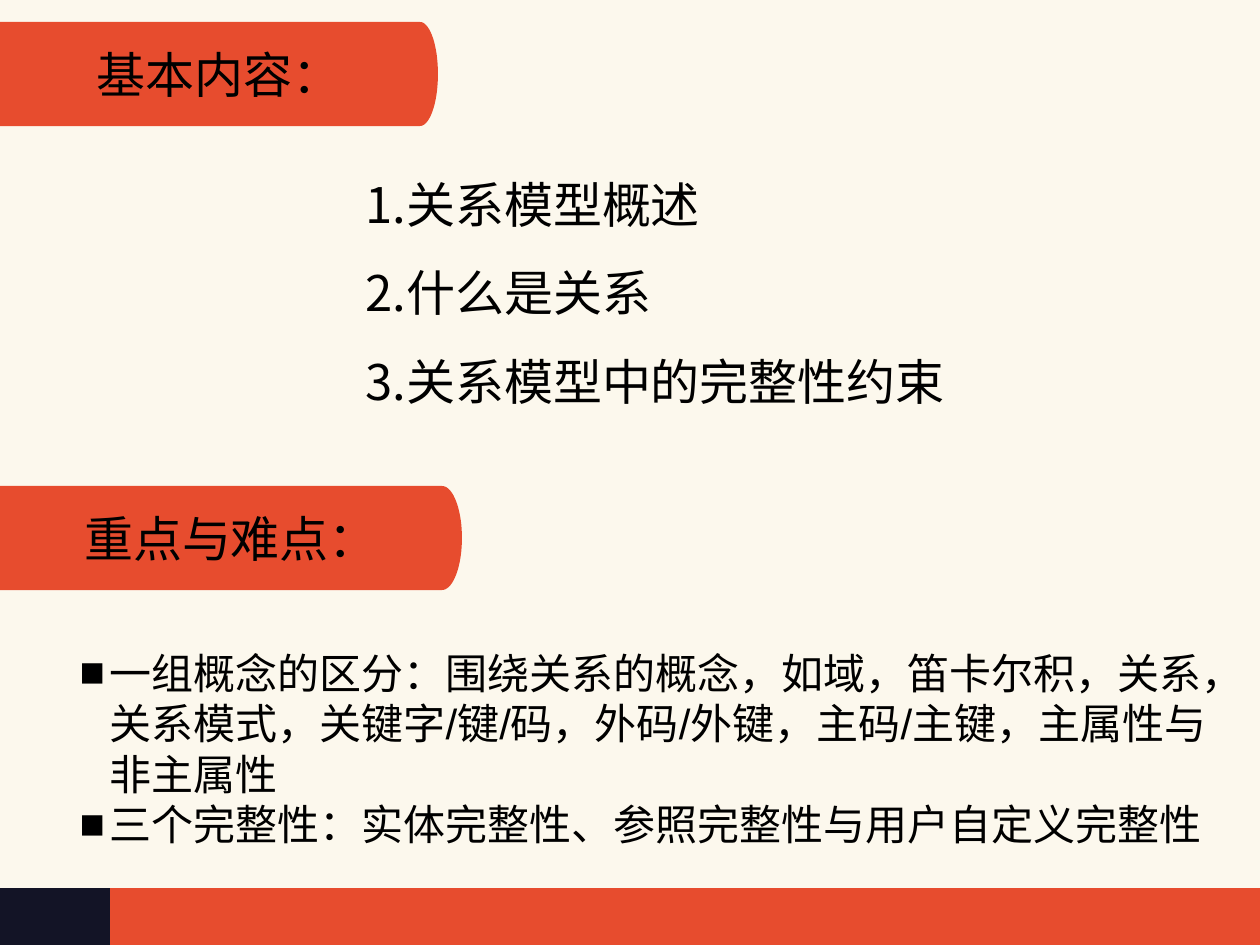
"""Build a lesson overview slide with two headed lists."""
import math
from dataclasses import dataclass

import lxml.etree
import pptx
import pptx.dml.color
import pptx.enum.text
import pptx.oxml.ns
import pptx.util

SCALE = 914400 / 126
WIDTH, HEIGHT = 1260, 945


@dataclass(frozen=True)
class Theme:
    """Colours, fonts and type sizes."""
    paper: str = "FCF8ED"
    accent: str = "E74C2E"
    dark: str = "131426"
    ink: str = "000000"
    font: str = "Noto Sans CJK SC"
    latin: str = "Arial"
    large: int = 28
    medium: int = 24


THEME = Theme()
ALIGN = pptx.enum.text.PP_ALIGN
ANCHOR = pptx.enum.text.MSO_ANCHOR
HEADING = {"alignment": ALIGN.CENTER, "line_spacing": 1.0}
NUMBERED = {"alignment": ALIGN.LEFT, "line_spacing": 1.5}
BULLETED = {"alignment": ALIGN.LEFT, "line_spacing": 1.0}

TOPICS = ["1.关系模型概述", "2.什么是关系", "3.关系模型中的完整性约束"]
KEY_POINTS = [
    "一组概念的区分：围绕关系的概念，如域，笛卡尔积，关系，关系模式，"
    "关键字/键/码，外码/外键，主码/主键，主属性与非主属性",
    "三个完整性：实体完整性、参照完整性与用户自定义完整性",
]


def px(length):
    """Turn pixels into EMU."""
    return pptx.util.Emu(round(length * SCALE))


def rgb(value):
    """Return a colour object for a hex value."""
    return pptx.dml.color.RGBColor.from_string(value)


def paint(shape, color):
    """Give a shape a plain fill without line or shadow."""
    shape.shadow.inherit = False
    shape.fill.solid()
    shape.fill.fore_color.rgb = rgb(color)
    shape.line.fill.background()


def add_bar(page, left, top, width, height, color):
    """Add a plain rectangle."""
    kind = pptx.enum.shapes.MSO_SHAPE.RECTANGLE
    paint(page.shapes.add_shape(kind, px(left), px(top), px(width), px(height)), color)


def add_banner(page, heading, text, top, width, height, bulge):
    """Add a banner with a curved right end behind its heading."""
    middle, radius = top + height / 2, height / 2
    angles = [math.radians(degree) for degree in range(-90, 91, 5)]
    curve = [(px(width - bulge + bulge * math.cos(angle)),
              px(middle + radius * math.sin(angle))) for angle in angles]
    builder = page.shapes.build_freeform(0, px(top))
    builder.add_line_segments(curve + [(0, px(top + height))], close=True)
    banner = builder.convert_to_shape()
    paint(banner, THEME.accent)
    heading.element.addprevious(banner.element)
    fill_box(heading, (0, top, width, height), [text], HEADING,
             THEME.large, THEME.font, ANCHOR.MIDDLE)


def set_bullet(para, mark, indent):
    """Set the hanging indent and the bullet mark, if any."""
    properties = para._p.get_or_add_pPr()
    properties.set("marL", str(px(indent)))
    properties.set("indent", str(px(-indent)))
    tag = pptx.oxml.ns.qn("a:buChar" if mark else "a:buNone")
    bullet = lxml.etree.SubElement(properties, tag)
    if mark:
        bullet.set("char", mark)


def fill_box(box, place, lines, form, size, latin, anchor=ANCHOR.TOP, mark=None, indent=0):
    """Move a placeholder and write formatted paragraphs in it."""
    for name, length in zip(("left", "top", "width", "height"), place):
        setattr(box, name, px(length))
    frame = box.text_frame
    frame.word_wrap = True
    frame.auto_size = pptx.enum.text.MSO_AUTO_SIZE.NONE
    frame.vertical_anchor = anchor
    for number, line in enumerate(lines):
        para = frame.paragraphs[0] if number == 0 else frame.add_paragraph()
        set_bullet(para, mark, indent)
        for name, value in {**form, "space_before": pptx.util.Pt(0)}.items():
            setattr(para, name, value)
        span = para.add_run()
        span.text = line
        letters = {"name": latin, "size": pptx.util.Pt(size), "bold": False}
        for name, value in letters.items():
            setattr(span.font, name, value)
        span.font.color.rgb = rgb(THEME.ink)
        east = lxml.etree.SubElement(span._r.get_or_add_rPr(), pptx.oxml.ns.qn("a:ea"))
        east.set("typeface", THEME.font)


def main():
    """Build and save the deck."""
    deck = pptx.Presentation()
    deck.slide_width, deck.slide_height = px(WIDTH), px(HEIGHT)
    page = deck.slides.add_slide(deck.slide_layouts.get_by_name("Comparison"))
    page.background.fill.solid()
    page.background.fill.fore_color.rgb = rgb(THEME.paper)
    boxes = {box.placeholder_format.idx: box for box in page.placeholders}
    unused = boxes[1].element
    unused.getparent().remove(unused)

    add_bar(page, 0, 888, WIDTH, 57, THEME.accent)
    add_bar(page, 0, 888, 110, 57, THEME.dark)
    add_banner(page, boxes[0], "基本内容：", 22, 438, 104, 18)
    add_banner(page, boxes[3], "重点与难点：", 486, 462, 104, 20)
    fill_box(boxes[2], (353, 139, 784, 365), TOPICS, NUMBERED, THEME.large, THEME.font)
    fill_box(boxes[4], (67, 641, 1193, 214), KEY_POINTS, BULLETED,
             THEME.medium, THEME.latin, mark="■", indent=30)
    deck.save("out.pptx")


if __name__ == "__main__":
    main()
